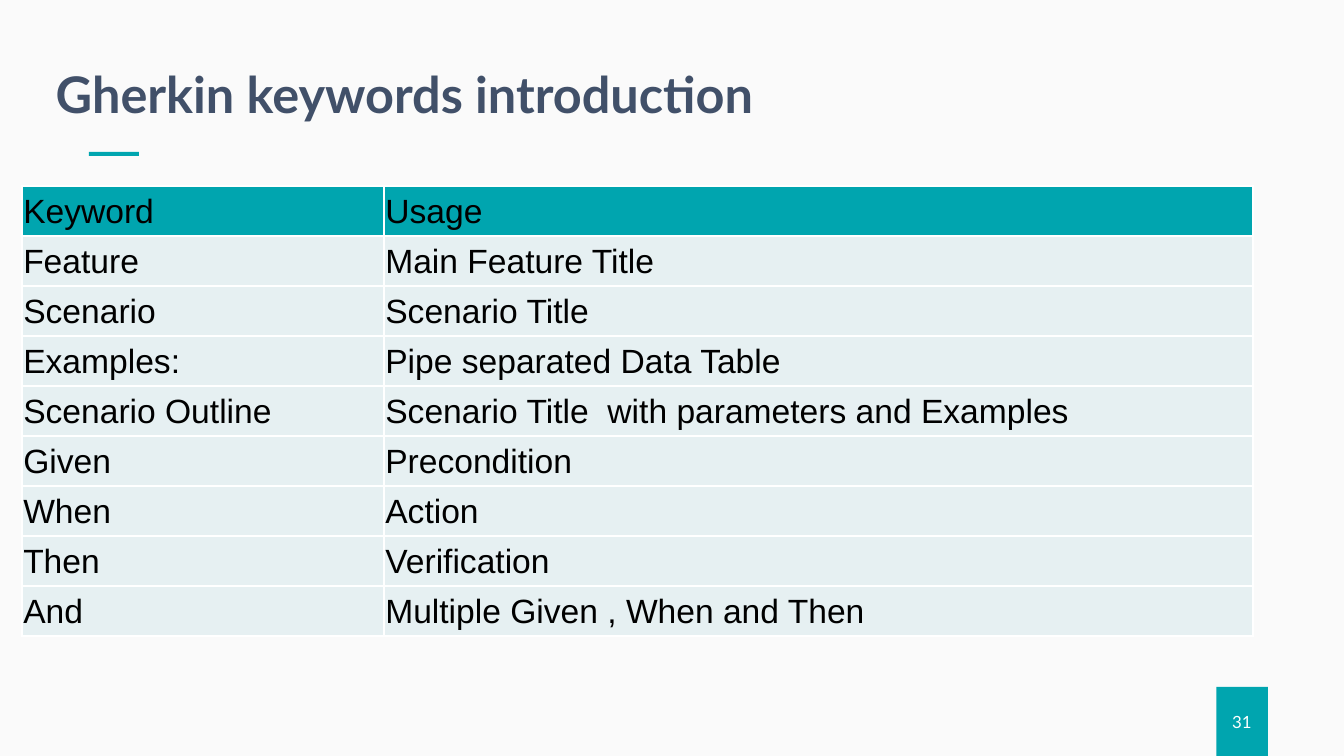
import pptx
import pptx.dml.color
import pptx.enum.shapes
import pptx.enum.text
import pptx.oxml
import pptx.oxml.ns
import pptx.util

Pt = pptx.util.Pt
RGB = pptx.dml.color.RGBColor
ALIGN = pptx.enum.text.PP_ALIGN
MIDDLE = pptx.enum.text.MSO_ANCHOR.MIDDLE

TEAL = RGB(0x00, 0xA5, 0xAF)
PALE = RGB(0xE6, 0xF0, 0xF2)
NAVY = RGB(0x41, 0x50, 0x69)
BACK = RGB(0xFA, 0xFA, 0xFA)
WHITE = RGB(0xFF, 0xFF, 0xFF)
BLACK = RGB(0x00, 0x00, 0x00)

ROWS = [
    ("Keyword", "Usage"),
    ("Feature", "Main Feature Title"),
    ("Scenario", "Scenario Title"),
    ("Examples:", "Pipe separated Data Table"),
    ("Scenario Outline", "Scenario Title  with parameters and Examples"),
    ("Given", "Precondition"),
    ("When", "Action"),
    ("Then", "Verification"),
    ("And", "Multiple Given , When and Then"),
]


class Deck:
    """Holds the style and the current slide; lengths are in points."""

    head, body = "Lato", "Arial"

    def __init__(self, wide, high):
        self.file = pptx.Presentation()
        self.file.slide_width, self.file.slide_height = Pt(wide), Pt(high)
        self.slide = self.file.slides.add_slide(self.file.slide_layouts[6])
        fill = self.slide.background.fill
        fill.solid()
        fill.fore_color.rgb = BACK

    def style(self, para, font, size, color, bold=False):
        for run in para.runs:
            run.font.name, run.font.size = font, Pt(size)
            run.font.bold = bold
            run.font.color.rgb = color

    def block(self, *box):
        kind = pptx.enum.shapes.MSO_SHAPE.RECTANGLE
        shape = self.slide.shapes.add_shape(kind, *map(Pt, box))
        shape.shadow.inherit = False
        shape.fill.solid()
        shape.fill.fore_color.rgb = TEAL
        shape.line.fill.background()

    def text(self, box, words, size, color, bold=False, align=ALIGN.LEFT):
        frame = self.slide.shapes.add_textbox(*map(Pt, box)).text_frame
        frame.word_wrap = True
        frame.vertical_anchor = MIDDLE
        frame.margin_left = frame.margin_right = 0
        frame.margin_top = frame.margin_bottom = 0
        frame.text = words
        para = frame.paragraphs[0]
        para.alignment = align
        self.style(para, self.head, size, color, bold)
        return para

    def border(self, cell):
        props = cell._tc.get_or_add_tcPr()
        for index, side in enumerate(("lnL", "lnR", "lnT", "lnB")):
            props.insert(index, pptx.oxml.parse_xml(
                f'<a:{side} {pptx.oxml.ns.nsdecls("a")} w="{Pt(1)}">'
                f'<a:solidFill><a:srgbClr val="{WHITE}"/></a:solidFill>'
                f'</a:{side}>'))

    def table(self, left, top, widths, height, rows):
        box = left, top, sum(widths), height * len(rows)
        grid = self.slide.shapes.add_table(
            len(rows), len(widths), *map(Pt, box)).table
        for col, width in zip(grid.columns, widths):
            col.width = Pt(width)
        for r, row in enumerate(rows):
            grid.rows[r].height = Pt(height)
            for c, words in enumerate(row):
                cell = grid.cell(r, c)
                cell.text = words
                cell.vertical_anchor = MIDDLE
                cell.margin_left = cell.margin_right = Pt(0.7)
                cell.margin_top, cell.margin_bottom = Pt(0.7), 0
                cell.fill.solid()
                cell.fill.fore_color.rgb = PALE if r else TEAL
                self.style(cell.text_frame.paragraphs[0],
                           self.body, 18, BLACK)
                self.border(cell)


def main():
    deck = Deck(720, 405)

    # Page number
    deck.block(651.6, 368, 27.6, 37)
    deck.text((652.3, 381, 26, 11), "31", 9, WHITE, align=ALIGN.CENTER)

    # Title with a hanging indent, and its accent bar
    deck.block(47.6, 81.4, 26.8, 2.2)
    title = deck.text((11.8, 37.4, 489, 29), "Gherkin keywords introduction",
                      27, NAVY, bold=True)
    title.line_spacing = 0.9
    props = title._p.get_or_add_pPr()
    props.set("marL", str(Pt(36)))
    props.set("indent", str(Pt(-18)))

    # Keyword table
    deck.table(11.8, 99.7, (194, 465.5), 26.8, ROWS)

    deck.file.save("out.pptx")


if __name__ == "__main__":
    main()
